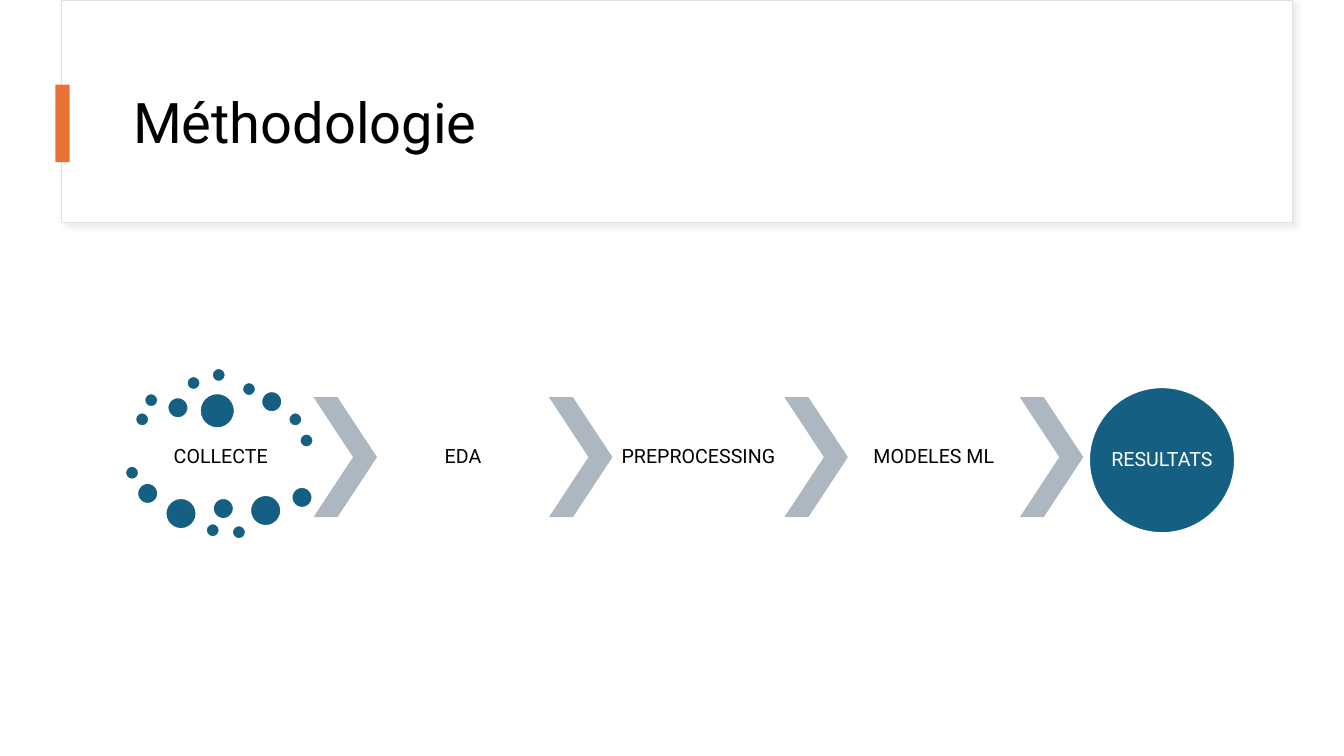
"""Build the methodology slide: a title banner above a five-step process."""
from dataclasses import dataclass

from lxml.etree import SubElement
from pptx import Presentation
from pptx.dml.color import RGBColor
from pptx.enum.shapes import MSO_SHAPE as Shape
from pptx.enum.text import MSO_ANCHOR as Anchor, MSO_AUTO_SIZE as AutoSize, PP_ALIGN as Align
from pptx.oxml.ns import qn
from pptx.util import Inches, Pt

TITLE = "Méthodologie"
START = "COLLECTE"
STEPS = ["EDA", "PREPROCESSING", "MODELES ML"]
RESULT = "RESULTATS"
DOTS = {
    0.14: [(1.34, 4.09), (1.43, 3.9), (1.85, 3.73), (2.1, 3.65), (2.4, 3.79), (2.86, 4.09),
           (2.97, 4.3), (1.24, 4.62), (2.04, 5.19), (2.3, 5.21)],
    0.21: [(1.66, 3.94), (2.59, 3.88), (1.36, 4.79), (2.11, 4.94), (2.89, 4.83)],
    0.31: [(1.64, 4.94), (2.48, 4.91)],
    0.35: [(1.98, 3.9)],
}


@dataclass(frozen=True)
class Theme:
    font: str = "Roboto"
    title_size: float = 40
    label_size: float = 14
    white: str = "FFFFFF"
    black: str = "000000"
    accent: str = "E97132"
    blue: str = "156082"
    arrow: str = "ACB7C1"
    border: str = "E1E1E1"
    shadow: str = "D9D9D9"


THEME = Theme()
WIDTH, HEIGHT = 13.33, 7.5
BANNER = (0.61, 0, 12.21, 2.21)
TITLE_BOX = (1.22, 0.6, 11.12, 1.29)
MARKER = (0.55, 0.84, 0.14, 0.77)
START_BOX = (1.34, 4.26, 1.7, 0.56)
RESULT_CIRCLE = (10.8, 3.84, 1.45, 1.45)
FLOW_LEFT, FLOW_TOP, FLOW_HEIGHT = 3.11, 3.94, 1.19
ARROW_WIDTH, STEP_WIDTH = 0.63, 1.705
INSET = 0.02


def inches(frame):
    return [Inches(length) for length in frame]


def draw(page, kind, frame, fill, line=None, weight=1):
    shape = page.shapes.add_shape(kind, *inches(frame))
    shape.shadow.inherit = False
    shape.fill.solid()
    shape.fill.fore_color.rgb = RGBColor.from_string(fill)
    if line:
        shape.line.color.rgb = RGBColor.from_string(line)
        shape.line.width = Pt(weight)
    else:
        shape.line.fill.background()
    return shape


def write(shape, text, size, color, align, inset):
    box = shape.text_frame
    box.word_wrap = True
    box.auto_size = AutoSize.NONE
    box.vertical_anchor = Anchor.MIDDLE
    box.margin_left = box.margin_right = Inches(inset)
    box.margin_top = box.margin_bottom = Inches(min(inset, 0.05))
    para = box.paragraphs[0]
    para.alignment = align
    para.line_spacing = 0.9
    span = para.add_run()
    span.text = text
    span.font.name = THEME.font
    span.font.size = Pt(size)
    span.font.color.rgb = RGBColor.from_string(color)


def label(page, frame, text):
    box = page.shapes.add_textbox(*inches(frame))
    write(box, text, THEME.label_size, THEME.black, Align.CENTER, INSET)


def cast_shadow(shape):
    effects = shape.element.spPr.find(qn("a:effectLst"))
    shadow = SubElement(effects, qn("a:outerShdw"), blurRad=str(Pt(4)), dist=str(Pt(3)),
                        dir=str(45 * 60000), algn="tl", rotWithShape="0")
    color = SubElement(shadow, qn("a:srgbClr"), val=THEME.shadow)
    SubElement(color, qn("a:alpha"), val="50000")


def add_heading(page):
    cast_shadow(draw(page, Shape.RECTANGLE, BANNER, THEME.white, THEME.border))
    title = page.shapes.title
    title.left, title.top, title.width, title.height = inches(TITLE_BOX)
    write(title, TITLE, THEME.title_size, THEME.black, Align.LEFT, 0.1)
    page.shapes.element.append(title.element)
    draw(page, Shape.RECTANGLE, MARKER, THEME.accent)


def add_start(page):
    label(page, START_BOX, START)
    for size, places in DOTS.items():
        for left, top in places:
            draw(page, Shape.OVAL, (left, top, size, size), THEME.blue, THEME.white, 1.5)


def add_flow(page):
    for column, text in enumerate(STEPS + [None]):
        left = FLOW_LEFT + column * (ARROW_WIDTH + STEP_WIDTH)
        arrow = draw(page, Shape.CHEVRON, (left, FLOW_TOP, ARROW_WIDTH, FLOW_HEIGHT), THEME.arrow)
        arrow.adjustments[0] = 0.623
        if text:
            label(page, (left + ARROW_WIDTH, FLOW_TOP, STEP_WIDTH, FLOW_HEIGHT), text)


def add_result(page):
    circle = draw(page, Shape.OVAL, RESULT_CIRCLE, THEME.blue, THEME.white, 1.5)
    write(circle, RESULT, THEME.label_size, THEME.white, Align.CENTER, 0)


def main():
    deck = Presentation()
    deck.slide_width, deck.slide_height = inches((WIDTH, HEIGHT))
    page = deck.slides.add_slide(deck.slide_layouts.get_by_name("Title Only"))
    add_heading(page)
    add_start(page)
    add_flow(page)
    add_result(page)
    deck.save("out.pptx")


if __name__ == "__main__":
    main()
